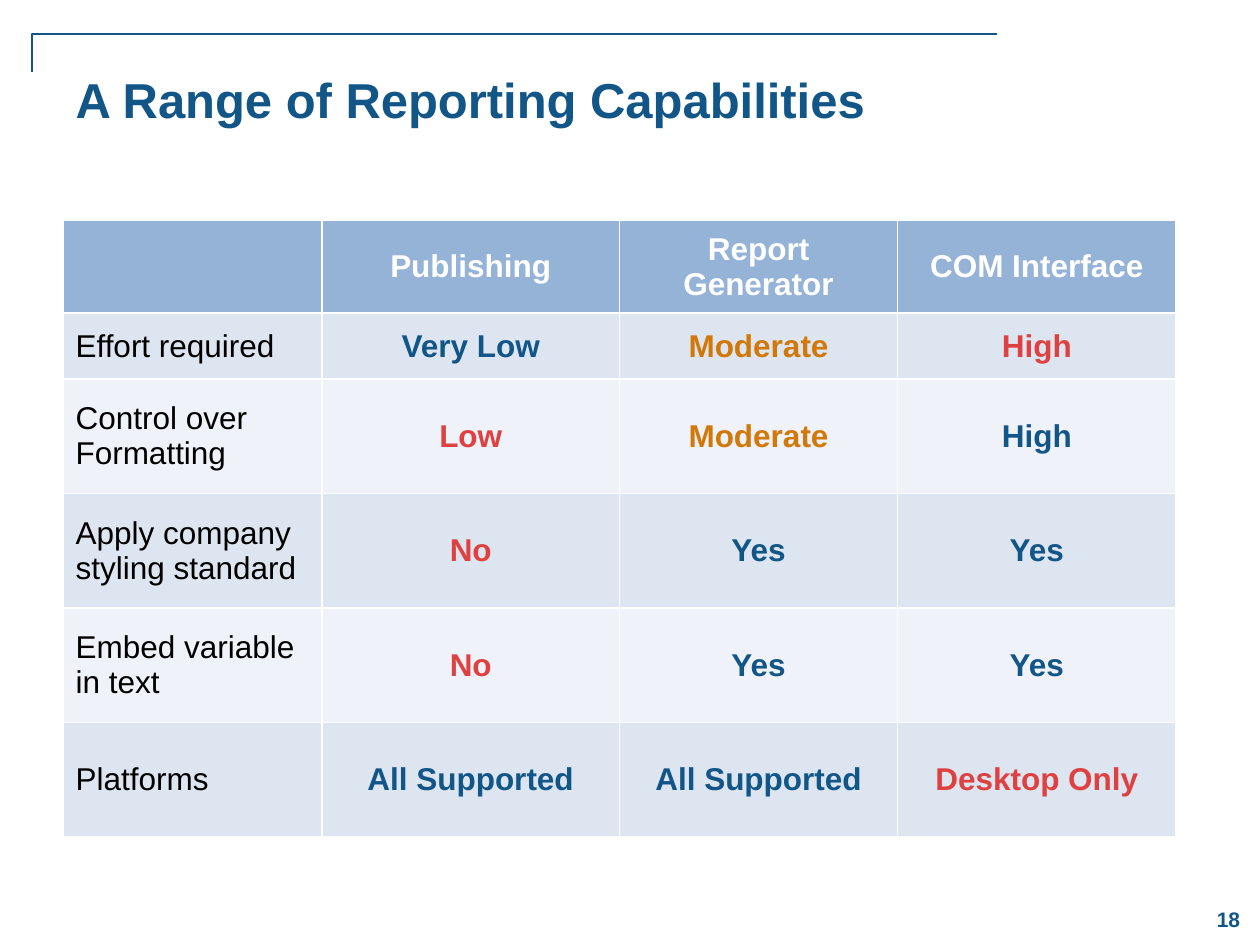
"""Build the slide comparing reporting capabilities in a table."""
from lxml.etree import SubElement
from pptx import Presentation
from pptx.dml.color import RGBColor
from pptx.enum.text import MSO_ANCHOR, PP_ALIGN
from pptx.oxml import parse_xml
from pptx.oxml.ns import nsdecls, qn
from pptx.util import Pt

BLUE = RGBColor(0x12, 0x56, 0x87)
AMBER = RGBColor(0xD2, 0x78, 0x09)
RED = RGBColor(0xDF, 0x41, 0x41)
BLACK = RGBColor(0, 0, 0)
WHITE = RGBColor(0xFF, 0xFF, 0xFF)
HEADER_FILL = RGBColor(0x95, 0xB3, 0xD7)
BAND_FILLS = [RGBColor(0xEF, 0xF2, 0xF8), RGBColor(0xDD, 0xE5, 0xF0)]


def write(frame, text, size, color, bold=True, align=PP_ALIGN.CENTER):
    paragraph = frame.paragraphs[0]
    paragraph.alignment = align
    run = paragraph.add_run()
    run.text = text
    run.font.name = "Arial"
    run.font.size = Pt(size)
    run.font.bold = bold
    run.font.color.rgb = color


def add_borders(cell):
    properties = cell._tc.get_or_add_tcPr()
    for position, side in enumerate(("lnL", "lnR", "lnT", "lnB")):
        border = parse_xml(f'<a:{side} {nsdecls("a")} w="{Pt(1)}"/>')
        fill = SubElement(border, qn("a:solidFill"))
        SubElement(fill, qn("a:srgbClr"), val=str(WHITE))
        properties.insert(position, border)


presentation = Presentation()
presentation.slide_width = Pt(720)
presentation.slide_height = Pt(540)
slide = presentation.slides.add_slide(presentation.slide_layouts[5])

corner_path = slide.shapes.build_freeform(Pt(570), Pt(19.5))
corner_path.add_line_segments([(Pt(18.5), Pt(19.5)), (Pt(18.5), Pt(41))], close=False)
corner = corner_path.convert_to_shape()
corner.shadow.inherit = False
corner.fill.background()
corner.line.color.rgb = BLUE
corner.line.width = Pt(1)

page_number = slide.shapes.add_textbox(Pt(684), Pt(510.5), Pt(36), Pt(30)).text_frame
page_number.vertical_anchor = MSO_ANCHOR.MIDDLE
page_number.word_wrap = True
page_number.margin_left = page_number.margin_right = 0
write(page_number, "18", 12, BLUE)

title = slide.shapes.title
title.left, title.top, title.width, title.height = Pt(36), Pt(36), Pt(636), Pt(78)
title.text_frame.vertical_anchor = MSO_ANCHOR.TOP
title.text_frame.margin_top = Pt(3.6)
write(title.text_frame, "A Range of Reporting Capabilities", 28, BLUE, align=PP_ALIGN.LEFT)

headings = ["", "Publishing", "Report Generator", "COM Interface"]
capabilities = [
    ("Effort required", ("Very Low", BLUE), ("Moderate", AMBER), ("High", RED)),
    ("Control over Formatting", ("Low", RED), ("Moderate", AMBER), ("High", BLUE)),
    ("Apply company styling standard", ("No", RED), ("Yes", BLUE), ("Yes", BLUE)),
    ("Embed variable in text", ("No", RED), ("Yes", BLUE), ("Yes", BLUE)),
    ("Platforms", ("All Supported", BLUE), ("All Supported", BLUE), ("Desktop Only", RED)),
]
rows = [[(heading, WHITE) for heading in headings]]
rows += [[(label, BLACK), *ratings] for label, *ratings in capabilities]
column_widths = [148, 170, 159, 159]
row_heights = [53, 37.7] + [65.4] * 4

comparison = slide.shapes.add_table(
    len(rows), len(headings), Pt(36), Pt(126), Pt(sum(column_widths)), Pt(sum(row_heights))
).table
for column, width in zip(comparison.columns, column_widths):
    column.width = Pt(width)
for row, height in zip(comparison.rows, row_heights):
    row.height = Pt(height)

for row_index, entries in enumerate(rows):
    for column_index, (text, color) in enumerate(entries):
        cell = comparison.cell(row_index, column_index)
        cell.vertical_anchor = MSO_ANCHOR.MIDDLE
        cell.fill.solid()
        cell.fill.fore_color.rgb = BAND_FILLS[row_index % 2] if row_index else HEADER_FILL
        add_borders(cell)
        if text:
            align = PP_ALIGN.CENTER if column_index else PP_ALIGN.LEFT
            write(cell.text_frame, text, 18, color, column_index > 0, align)

presentation.save("out.pptx")
